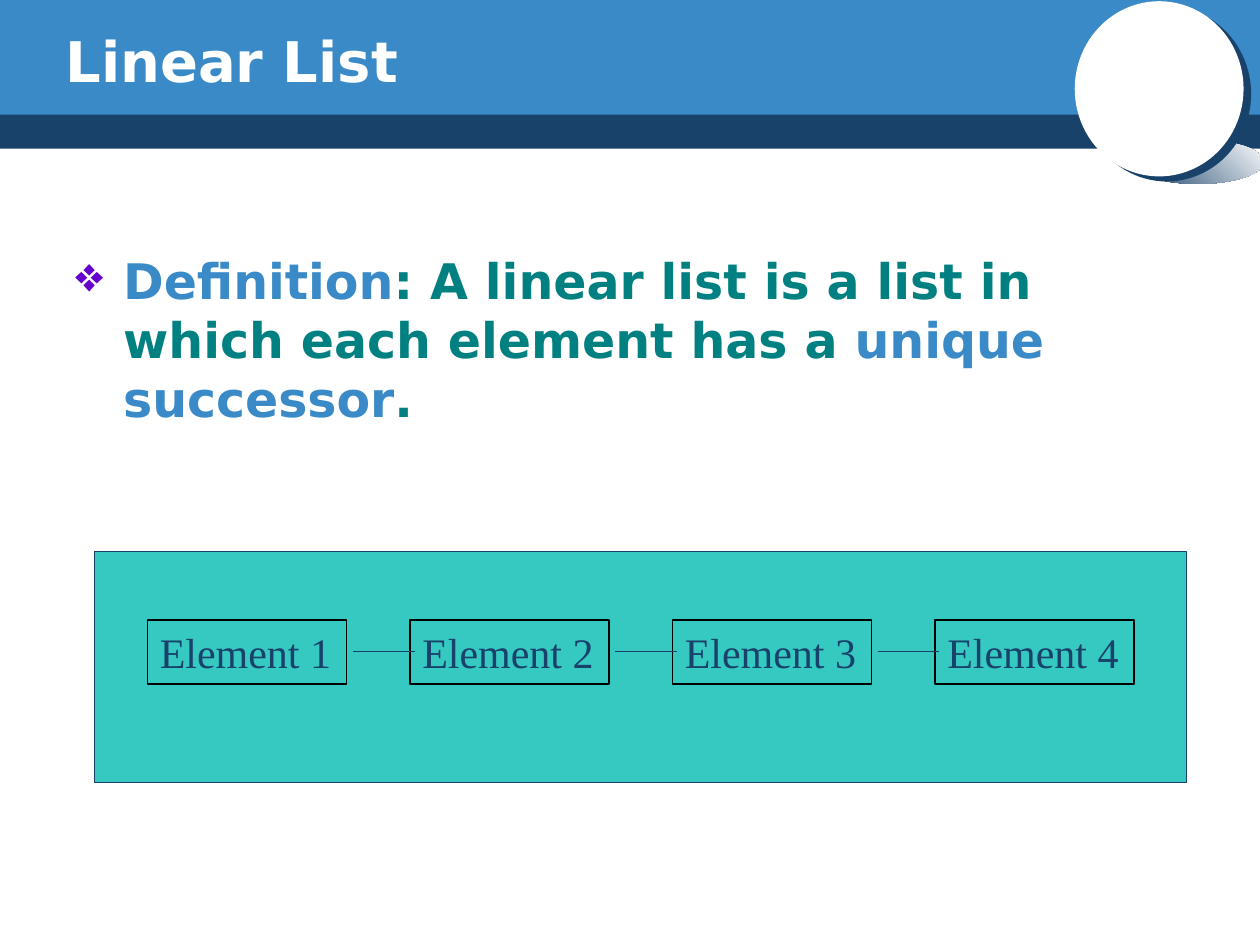
from pptx import Presentation
from pptx.util import Inches, Pt
from pptx.dml.color import RGBColor
from pptx.enum.shapes import MSO_SHAPE, MSO_CONNECTOR
from pptx.enum.text import PP_ALIGN, MSO_ANCHOR
from pptx.oxml import parse_xml
from pptx.oxml.ns import nsdecls

NAVY, BLUE, TEAL, WHITE = "19426B", "398AC7", "008080", "FFFFFF"
SANS = "DejaVu Sans"

deck = Presentation()
deck.slide_width, deck.slide_height = Inches(10), Inches(7.5)
slide = deck.slides.add_slide(deck.slide_layouts[6])
shapes = slide.shapes


def block(kind, box, fill=None, line=None):
    item = shapes.add_shape(kind, *map(Inches, box))
    item.shadow.inherit = False
    if fill:
        item.fill.solid()
        item.fill.fore_color.rgb = RGBColor.from_string(fill)
    else:
        item.fill.background()
    if line:
        item.line.color.rgb = RGBColor.from_string(line)
        item.line.width = Pt(0.75)
    else:
        item.line.fill.background()
    return item


def style(run, size, color, face=SANS, bold=True):
    font = run.font
    font.size, font.name, font.bold = Pt(size), face, bold
    font.color.rgb = RGBColor.from_string(color)


# Header bands
block(MSO_SHAPE.RECTANGLE, (0, 0.84, 10, 0.34), NAVY)
block(MSO_SHAPE.RECTANGLE, (0, 0, 10, 0.91), BLUE)

# Corner disc with a fading floor shade and a dark rim
shade = block(MSO_SHAPE.OVAL, (8.98, 1.11, 1.05, 0.35), NAVY)
shade.fill.gradient()
shade.fill.gradient_angle = 45
for stop, color, place in zip(shade.fill.gradient_stops, (NAVY, WHITE), (0, 1)):
    stop.color.rgb = RGBColor.from_string(color)
    stop.position = place
block(MSO_SHAPE.OVAL, (8.59, 0.05, 1.34, 1.39), NAVY)
block(MSO_SHAPE.OVAL, (8.53, 0.01, 1.34, 1.39), WHITE)

# Title
title = shapes.add_textbox(*map(Inches, (0.42, 0.17, 8.08, 0.62))).text_frame
title.word_wrap = True
title.vertical_anchor = MSO_ANCHOR.MIDDLE
title.text = "Linear List"
style(title.paragraphs[0].runs[0], 32, WHITE)

# Definition
body = shapes.add_textbox(*map(Inches, (0.5, 1.94, 9, 4.48))).text_frame
body.word_wrap = True
para = body.paragraphs[0]
para.space_before = Pt(5.6)
for text, color in (
    ("Definition", BLUE),
    (": A linear list is a list in which each element has a ", TEAL),
    ("unique successor", BLUE),
    (".", TEAL),
):
    run = para.add_run()
    run.text = text
    style(run, 28, color)
props = para._p.get_or_add_pPr()
props.set("marL", str(Inches(0.38)))
props.set("indent", str(-Inches(0.38)))
ns = nsdecls("a")
props.append(parse_xml(f'<a:buClr {ns}><a:srgbClr val="6600CC"/></a:buClr>'))
props.append(parse_xml(f'<a:buChar {ns} char="\u2756"/>'))

# Chain of elements on a panel
block(MSO_SHAPE.RECTANGLE, (0.75, 4.38, 8.67, 1.83), "35C9C2", NAVY)
left, step, wide, count = 1.17, 6.25 / 3, 1.58, 4
for i in range(count):
    x = left + i * step
    cell = block(MSO_SHAPE.RECTANGLE, (x, 4.92, wide, 0.51), line="000000")
    frame = cell.text_frame
    frame.text = f"Element {i + 1}"
    frame.vertical_anchor = MSO_ANCHOR.MIDDLE
    frame.paragraphs[0].alignment = PP_ALIGN.LEFT
    style(frame.paragraphs[0].runs[0], 24, NAVY, "Times New Roman", False)

# Links between neighbours
for i in range(count - 1):
    x = left + i * step + wide + 0.05
    link = shapes.add_connector(
        MSO_CONNECTOR.STRAIGHT, *map(Inches, (x, 5.17, x + 0.49, 5.17)))
    link.line.color.rgb = RGBColor.from_string(NAVY)
    link.line.width = Pt(0.75)
    link._element.spPr.append(parse_xml(f"<a:effectLst {ns}/>"))

deck.save("out.pptx")
